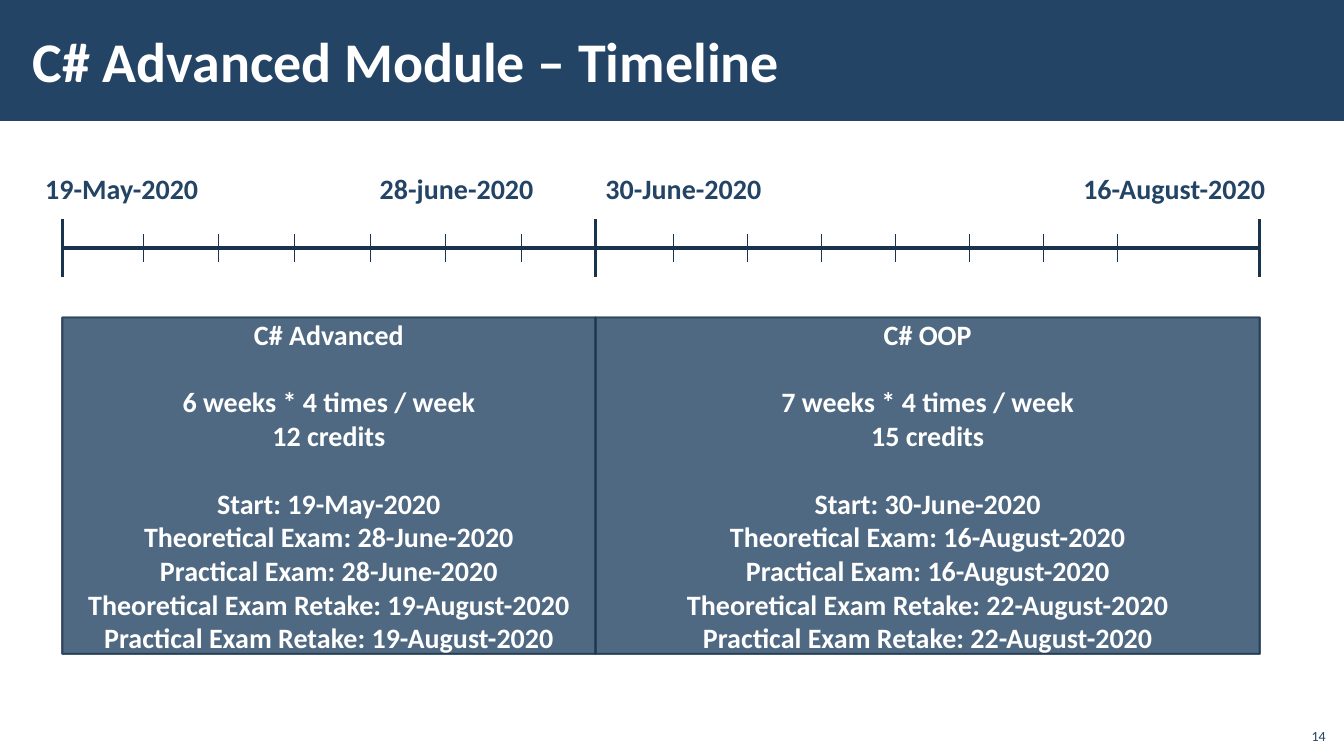
from lxml.etree import SubElement
from pptx import Presentation
from pptx.dml.color import RGBColor
from pptx.enum.shapes import MSO_CONNECTOR as CONN, MSO_SHAPE as SHAPE
from pptx.enum.text import MSO_ANCHOR as ANCHOR, MSO_AUTO_SIZE as AUTO, PP_ALIGN as ALIGN
from pptx.oxml.ns import qn
from pptx.util import Cm, Pt

NAVY, DARK, WHITE = "234465", "1A334C", "FFFFFF"
START, MIDDLE, END = 1.57, 15.01, 31.75
AXIS_Y = 6.25

DATES = [
    ("19-May-2020", 0.89, 4.42, False),
    ("28-june-2020", 9.32, 6.12, True),
    ("30-June-2020", MIDDLE, 4.47, False),
    ("16-August-2020", 27.05, 5.23, True),
]
COURSES = [
    (START, MIDDLE, "C# Advanced", 6, 12, "19-May-2020", "28-June-2020", "19-August-2020"),
    (MIDDLE, END, "C# OOP", 7, 15, "30-June-2020", "16-August-2020", "22-August-2020"),
]
WEEK_TICKS = [(3.61, 1.905, 6), (16.97, 1.866, 7)]


def rgb(value):
    return RGBColor.from_string(value)


def set_font(p, size, color, bold=True):
    p.font.name = "Calibri"
    p.font.size = Pt(size)
    p.font.bold = bold
    p.font.color.rgb = rgb(color)


def set_alpha(fill, percent):
    color = fill._xPr.find(qn("a:solidFill"))[0]
    SubElement(color, qn("a:alpha"), val=str(percent * 1000))


def add_box(s, left, top, width, height):
    sp = s.shapes.add_shape(SHAPE.RECTANGLE, Cm(left), Cm(top), Cm(width), Cm(height))
    sp.shadow.inherit = False
    sp.fill.solid()
    sp.fill.fore_color.rgb = rgb(NAVY)
    return sp


def add_title(s, text):
    title = s.shapes.title
    title.left, title.top, title.width, title.height = Cm(0.53), Cm(0.28), Cm(27), Cm(2.46)
    tf = title.text_frame
    tf.text = text
    tf.vertical_anchor = ANCHOR.MIDDLE
    tf.margin_left = tf.margin_right = Cm(0.3)
    tf.margin_top = tf.margin_bottom = Cm(0.1)
    p = tf.paragraphs[0]
    p.alignment = ALIGN.LEFT
    set_font(p, 40, WHITE)
    bar = add_box(s, 0, 0, 33.87, 3.05)
    bar.line.fill.background()
    title.element.addprevious(bar.element)


def add_text(s, text, left, top, width, height, size=20, bold=True, wrap=True):
    tf = s.shapes.add_textbox(Cm(left), Cm(top), Cm(width), Cm(height)).text_frame
    tf.word_wrap = wrap
    tf.text = text
    set_font(tf.paragraphs[0], size, NAVY, bold)
    return tf


def add_line(s, x1, y1, x2, y2, width):
    line = s.shapes.add_connector(CONN.STRAIGHT, Cm(x1), Cm(y1), Cm(x2), Cm(y2))
    line.line.color.rgb = rgb(DARK)
    line.line.width = Pt(width)
    SubElement(line.element.spPr, qn("a:effectLst"))


def add_tick(s, x, half, width):
    add_line(s, x, AXIS_Y - half, x, AXIS_Y + half, width)


def add_course(s, left, right, name, weeks, credits, start, exam, retake):
    sp = add_box(s, left, 8, right - left, 8.48)
    set_alpha(sp.fill, 80)
    sp.line.color.rgb = rgb(DARK)
    sp.line.width = Pt(1.5)
    set_alpha(sp.line.fill, 80)
    groups = [
        [name],
        [f"{weeks} weeks * 4 times / week", f"{credits} credits"],
        [
            f"Start: {start}",
            f"Theoretical Exam: {exam}",
            f"Practical Exam: {exam}",
            f"Theoretical Exam Retake: {retake}",
            f"Practical Exam Retake: {retake}",
        ],
    ]
    tf = sp.text_frame
    tf.word_wrap = True
    tf.vertical_anchor = ANCHOR.MIDDLE
    tf.text = "\n".join(line for group in groups for line in group)
    for p in tf.paragraphs:
        p.alignment = ALIGN.CENTER
        set_font(p, 20, WHITE)
    for group_start in (1, 3):
        tf.paragraphs[group_start].space_before = Pt(24.4)


def main():
    prs = Presentation()
    prs.slide_width, prs.slide_height = Cm(33.87), Cm(19.05)
    s = prs.slides.add_slide(prs.slide_layouts[5])
    add_title(s, "C# Advanced Module – Timeline")

    for text, left, width, wrap in DATES:
        tf = add_text(s, text, left, 4.19, width, 1.12, wrap=wrap)
        tf.auto_size = AUTO.SHAPE_TO_FIT_TEXT
    for course in COURSES:
        add_course(s, *course)

    add_line(s, START, AXIS_Y, END, AXIS_Y, 2.25)
    for x in (START, MIDDLE, END):
        add_tick(s, x, 0.72, 2.25)
    for first, step, count in WEEK_TICKS:
        for i in range(count):
            add_tick(s, first + i * step, 0.35, 0.5)

    tf = add_text(s, "14", 32.64, 18.08, 1.02, 0.81, size=10, bold=False)
    tf.vertical_anchor = ANCHOR.BOTTOM
    tf.paragraphs[0].alignment = ALIGN.RIGHT
    prs.save("out.pptx")


if __name__ == "__main__":
    main()
